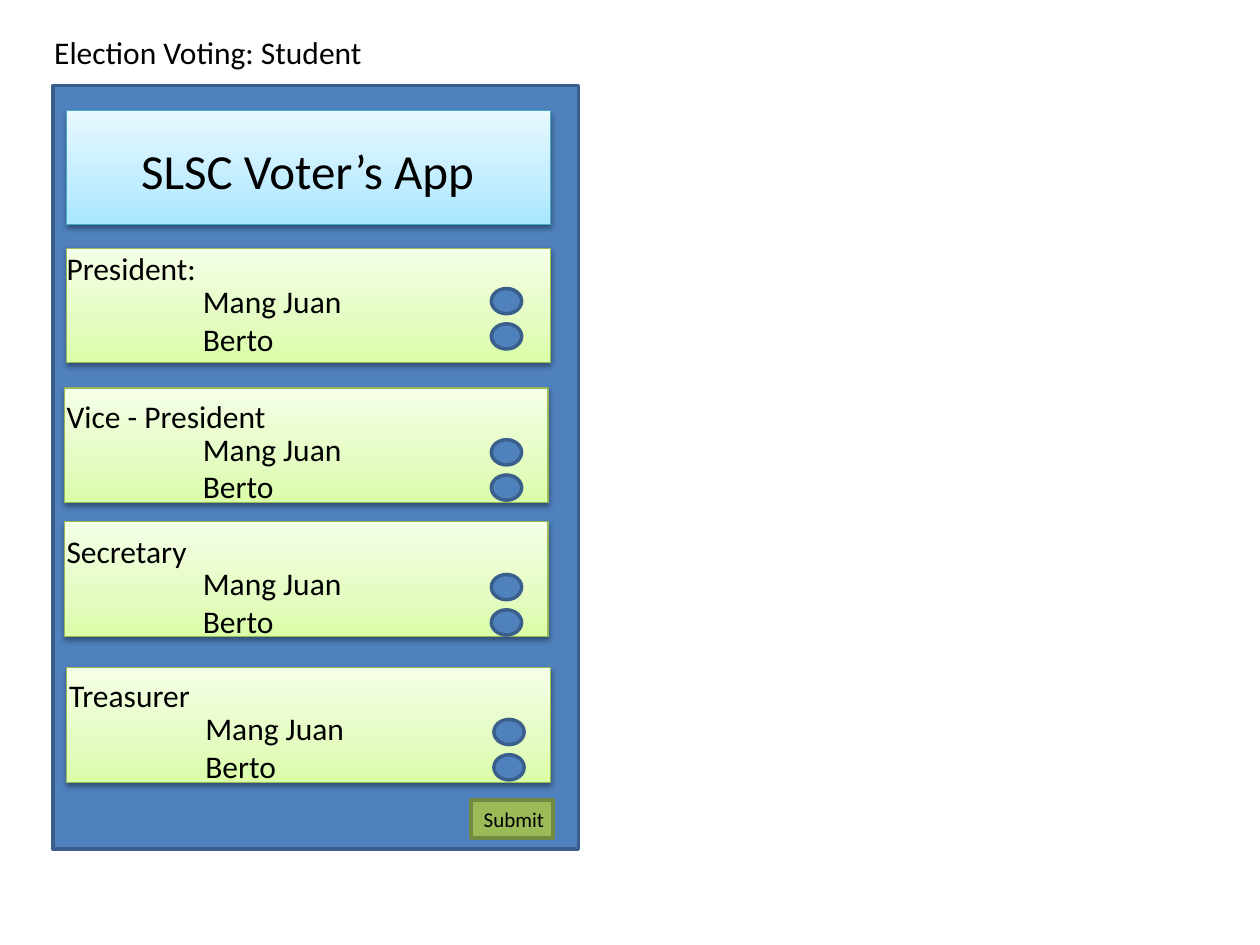
"""Build the student election voting app mock-up slide."""
from copy import deepcopy

from lxml.etree import SubElement
from pptx import Presentation
from pptx.dml.color import RGBColor
from pptx.enum.shapes import MSO_SHAPE
from pptx.enum.text import MSO_ANCHOR, PP_ALIGN
from pptx.oxml.ns import qn
from pptx.util import Inches, Pt


def add_box(shape, box, line, width, fills):
    sp = s.shapes.add_shape(shape, *map(Inches, box))
    sp.shadow.inherit = False
    sp.line.color.rgb = RGBColor.from_string(line)
    sp.line.width = Pt(width)
    if len(fills) == 1:
        sp.fill.solid()
        sp.fill.fore_color.rgb = RGBColor.from_string(fills[0])
        return
    sp.fill.gradient()
    sp.fill.gradient_angle = 90
    spPr = sp._element.spPr
    stops = spPr.find(qn("a:gradFill")).find(qn("a:gsLst"))
    stops.insert(1, deepcopy(stops[0]))
    for stop, pos, color in zip(sp.fill.gradient_stops, (0, 0.35, 1), fills):
        stop.position = pos
        stop.color.rgb = RGBColor.from_string(color)
    shadow = SubElement(spPr.find(qn("a:effectLst")), qn("a:outerShdw"), blurRad="40000",
                        dist="20000", dir="5400000", rotWithShape="0")
    black = SubElement(shadow, qn("a:srgbClr"), val="000000")
    SubElement(black, qn("a:alpha"), val="38000")


def add_text(box, lines, size=18, align=PP_ALIGN.LEFT, inset=0.1, sp=None):
    sp = sp or s.shapes.add_textbox(0, 0, 0, 0)
    sp.left, sp.top, sp.width, sp.height = map(Inches, box)
    tf = sp.text_frame
    tf.word_wrap = True
    tf.vertical_anchor = MSO_ANCHOR.TOP
    tf.margin_left = Inches(inset)
    p = tf.paragraphs[0]
    p.alignment = align
    for i, line in enumerate(lines):
        if i:
            p.add_line_break()
        r = p.add_run()
        r.text = line
        r.font.name = "Calibri"
        r.font.size = Pt(size)
        r.font.color.rgb = RGBColor.from_string("000000")


prs = Presentation()
prs.slide_width, prs.slide_height = Inches(10), Inches(7.5)
s = prs.slides.add_slide(prs.slide_layouts[5])

BLUE, NAVY = ["4F81BD"], "3A5F8C"
SKY = ["A7E6FF", "C1EDFF", "E7F8FF"]
LIME = ["DAFDA7", "E4FCC2", "F5FFE7"]
RECT = MSO_SHAPE.RECTANGLE

add_text((0.33, 0.21, 9.24, 0.4), ["Election Voting: Student"], sp=s.shapes.title)
add_box(RECT, (0.42, 0.68, 4.17, 6.06), NAVY, 2, BLUE)
add_box(RECT, (0.53, 0.88, 3.84, 0.9), "46AAC5", 0.75, SKY)
add_text((0.67, 1.07, 3.54, 0.57), ["SLSC Voter’s App"], 28, PP_ALIGN.CENTER)

positions = [
    ("President:", 0.53, 1.97, 0.43, 1.93, 2.29),
    ("Vice - President", 0.51, 3.08, 0.43, 3.1, 3.49),
    ("Secretary", 0.51, 4.14, 0.43, 4.17, 4.56),
    ("Treasurer", 0.53, 5.3, 0.45, 5.32, 5.71),
]
for office, card_x, card_y, x, y, dot_y in positions:
    add_box(RECT, (card_x, card_y, 3.84, 0.91), "98B955", 0.75, LIME)
    add_text((x, y, 3.7, 0.4), [office])
    add_text((x + 0.08, y + 0.26, 3.7, 0.71), ["Mang Juan", "Berto"], inset=1.1)
    for i in range(2):
        add_box(MSO_SHAPE.OVAL, (x + 3.47, dot_y + 0.28 * i, 0.24, 0.2), NAVY, 2, BLUE)

add_box(RECT, (3.74, 6.35, 0.65, 0.3), "738A42", 2, ["9BBB59"])
add_text((3.74, 6.35, 3.62, 0.3), ["Submit"], 12)

prs.save("out.pptx")
